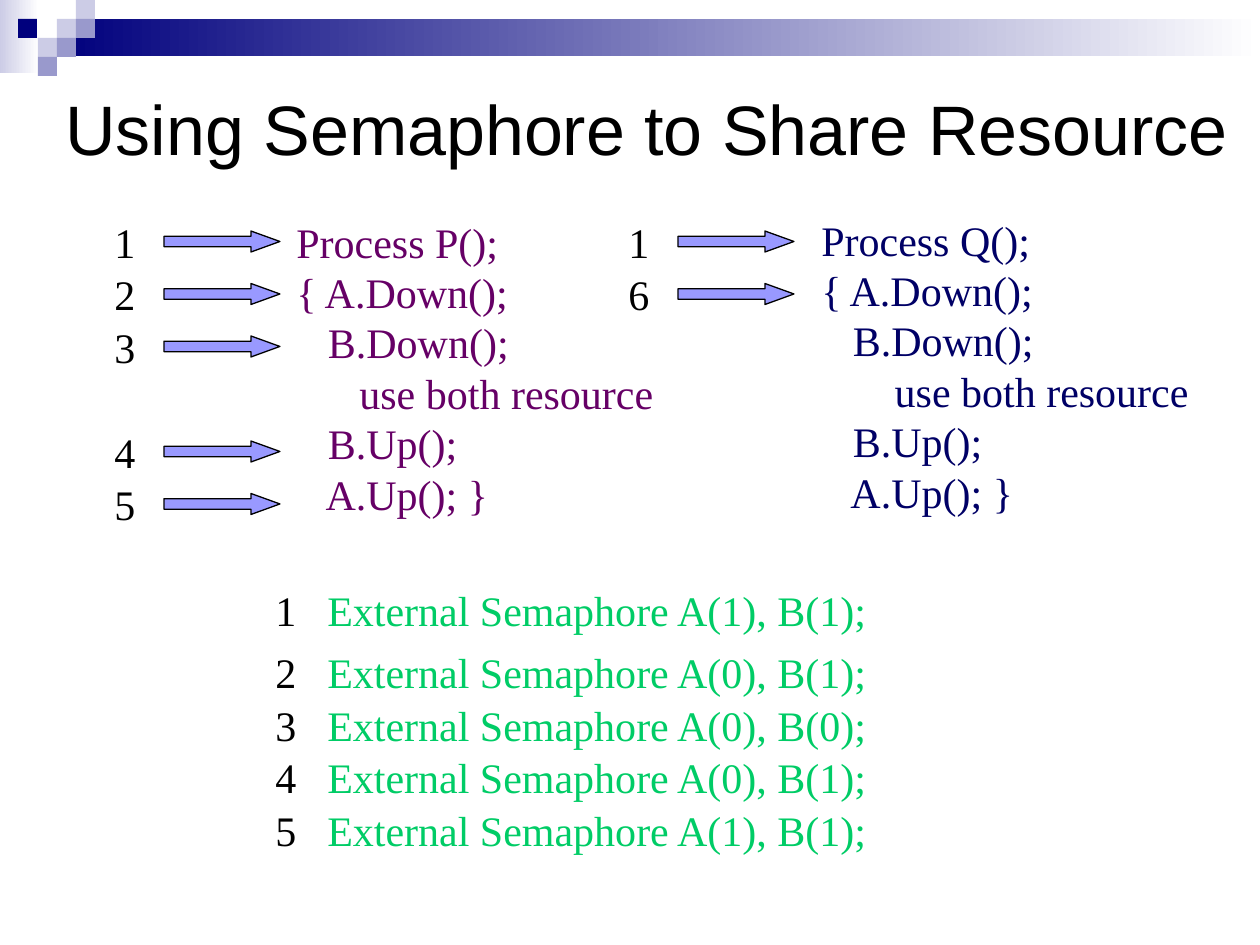
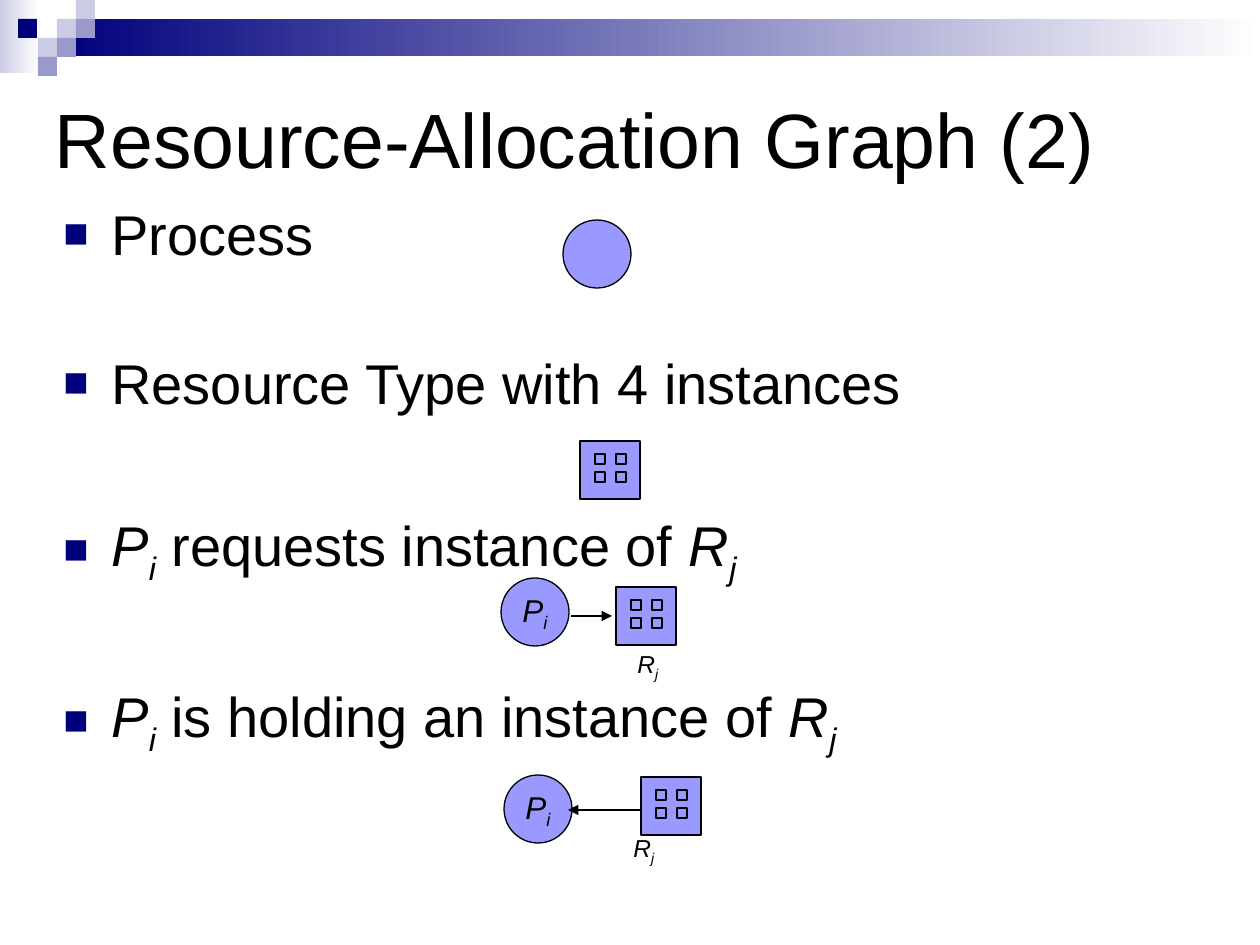
from lxml import etree
from pptx import Presentation
from pptx.dml.color import RGBColor
from pptx.enum.shapes import MSO_CONNECTOR, MSO_SHAPE
from pptx.enum.text import MSO_ANCHOR, MSO_AUTO_SIZE, PP_ALIGN
from pptx.oxml.ns import qn
from pptx.util import Pt

LEFT, MID = PP_ALIGN.LEFT, PP_ALIGN.CENTER
CENTRE, FIXED = MSO_ANCHOR.MIDDLE, MSO_AUTO_SIZE.NONE
RECT, OVAL, ARROW = MSO_SHAPE.RECTANGLE, MSO_SHAPE.OVAL, MSO_SHAPE.RIGHT_ARROW
LINE = MSO_CONNECTOR.STRAIGHT
SANS, SERIF = "Arial", "Times New Roman"
TITLE_ONLY = 5
SCALE = 914400 / 126
HEX = {
    "navy": "00007D", "pale": "CCCCE6", "mauve": "9999CC", "white": "FFFFFF",
    "black": "000000", "fill": "9999FF", "plum": "660066", "ink": "000066",
    "green": "00CC66",
}

FADES = [("pale", (0, 0, 39, 73)), ("navy", (57, 19, 1203, 37))]
TILE = 19
TILES = [
    ("pale", 57, 19), ("pale", 76, 0), ("mauve", 76, 19), ("pale", 38, 38),
    ("navy", 18, 19), ("mauve", 57, 38), ("mauve", 38, 57),
]

TOP, STEP = 210, 52.5
CODE = [
    {"color": "plum", "box": (284, 210, 410, 315), "left": 102,
     "steps": {0: "1", 1: "2", 2: "3", 4: "4", 5: "5"},
     "lines": ["Process P();", "{ A.Down();", "   B.Down();",
               "      use both resource", "   B.Up();", "   A.Up(); }"]},
    {"color": "ink", "box": (809, 208, 430, 315), "left": 616,
     "steps": {0: "1", 1: "6"},
     "lines": ["Process Q();", "{ A.Down();", "   B.Down();",
               "       use both resource", "   B.Up();", "   A.Up(); }"]},
]
STATES = [
    ("1", 578, "External Semaphore A(1), B(1);"),
    ("2", 640, "External Semaphore A(0), B(1);"),
    ("3", 693, "External Semaphore A(0), B(0);"),
    ("4", 745, "External Semaphore A(0), B(1);"),
    ("5", 798, "External Semaphore A(1), B(1);"),
]

P_I = [("P", "i"), ("i", "is")]
R_J = [("R", "i"), ("j", "is")]
POINTS = [
    (0, [("Process", "")]),
    (47, [("Resource Type with 4 instances", "")]),
    (54, [*P_I, (" requests instance of ", ""), *R_J]),
    (54, [*P_I, (" is holding an instance of ", ""), *R_J]),
]
NODES = [(563, 220, []), (501, 578, P_I), (504, 775, P_I)]
TYPES = [(580, 441), (616, 587), (641, 777)]
LABELS = [(603, 643), (599, 827)]
EDGES = [(571, 616, 612), (640, 810, 568)]


def px(*nums):
    """Turn pixel lengths into EMU."""
    return [round(n * SCALE) for n in nums]


def rgb(name):
    """Look up a colour."""
    return RGBColor.from_string(HEX[name])


def style(para, size, face=SANS, color="black", align=LEFT):
    """Set the look of a paragraph."""
    para.alignment = align
    font = para.font
    font.size, font.name = Pt(size), face
    font.color.rgb = rgb(color)


def write(para, runs):
    """Add runs, italic for i and subscript for s."""
    for text, marks in runs:
        run = para.add_run()
        run.text = text
        if "i" in marks:
            run.font.italic = True
        if "s" in marks:
            run.font._element.set("baseline", "-25000")


def shape(slide, kind, box, color, line=True):
    """Add a flat shape, outlined or not."""
    item = slide.shapes.add_shape(kind, *px(*box))
    item.shadow.inherit = False
    item.fill.solid()
    item.fill.fore_color.rgb = rgb(color)
    if line:
        item.line.color.rgb = rgb("black")
        item.line.width = Pt(0.75)
    else:
        item.line.fill.background()
    return item


def textbox(slide, box):
    """Add an empty text box and return its frame."""
    frame = slide.shapes.add_textbox(*px(*box)).text_frame
    frame.word_wrap = True
    return frame


def block(slide, box, lines, color="black"):
    """Add serif lines of text."""
    frame = textbox(slide, box)
    for i, text in enumerate(lines):
        para = frame.add_paragraph() if i else frame.paragraphs[0]
        para.add_run().text = text
        style(para, 24, SERIF, color)


def dress(slide, layout):
    """Draw the band and tiles, then hand them to the layout."""
    for item in list(layout.placeholders):
        if item.placeholder_format.idx:
            item.element.getparent().remove(item.element)
    parts = []
    for color, box in FADES:
        item = shape(slide, RECT, box, color, False)
        item.fill.gradient()
        item.fill.gradient_angle = 0
        for stop, name, spot in zip(item.fill.gradient_stops, (color, "white"), (0, 1)):
            stop.color.rgb = rgb(name)
            stop.position = spot
        parts.append(item)
    for color, x, y in TILES:
        parts.append(shape(slide, RECT, (x, y, TILE, TILE), color, False))
    for i, item in enumerate(parts):
        layout.shapes.element.insert(2 + i, item.element)


def head(slide, text, box, size, align=LEFT):
    """Place and format the title."""
    title = slide.shapes.title
    title.left, title.top, title.width, title.height = px(*box)
    frame = title.text_frame
    frame.text = text
    frame.auto_size, frame.vertical_anchor = FIXED, CENTRE
    style(frame.paragraphs[0], size, align=align)


def share(slide):
    """Fill the semaphore slide."""
    head(slide, "Using Semaphore to Share Resource", (31, 48, 1231, 158), 40, MID)
    for code in CODE:
        block(slide, code["box"], code["lines"], code["color"])
        for row, step in code["steps"].items():
            x, y = code["left"], TOP + row * STEP
            arrow = shape(slide, ARROW, (x + 62, y + 21, 116, 21), "fill")
            arrow.adjustments[0], arrow.adjustments[1] = 0.5, 1.38
            block(slide, (x, y, 55, 63), [step])
    for step, y, text in STATES:
        block(slide, (263, y, 55, 63), [step])
        block(slide, (315, y, 590, 63), [text], "green")


def bullet(para):
    """Give a paragraph a hanging square bullet."""
    props = para._p.get_or_add_pPr()
    indent = px(48)[0]
    props.set("marL", str(indent))
    props.set("indent", str(-indent))
    color = etree.SubElement(props, qn("a:buClr"))
    etree.SubElement(color, qn("a:srgbClr"), val=HEX["navy"])
    etree.SubElement(props, qn("a:buSzPct"), val="75000")
    etree.SubElement(props, qn("a:buFont"), typeface=SANS)
    etree.SubElement(props, qn("a:buChar"), char="■")


def edge(slide, start, y, end):
    """Draw a level arrow."""
    line = slide.shapes.add_connector(LINE, *px(start, y, end, y))
    line.line.color.rgb = rgb("black")
    line.line.width = Pt(0.75)
    etree.SubElement(line.line._get_or_add_ln(), qn("a:tailEnd"), type="triangle")
    etree.SubElement(line.element.spPr, qn("a:effectLst"))


def graph(slide):
    """Fill the allocation graph slide."""
    head(slide, "Resource-Allocation Graph (2)", (42, 59, 1177, 158), 44)
    frame = textbox(slide, (51, 193, 974, 677))
    for i, (gap, runs) in enumerate(POINTS):
        para = frame.add_paragraph() if i else frame.paragraphs[0]
        bullet(para)
        if gap:
            para.space_before = Pt(gap)
        write(para, runs)
        style(para, 32)
    for x, y, runs in NODES:
        node = shape(slide, OVAL, (x, y, 68, 68), "fill")
        if runs:
            text = node.text_frame
            text.word_wrap, text.vertical_anchor = False, CENTRE
            write(text.paragraphs[0], runs)
            style(text.paragraphs[0], 18, align=MID)
    for x, y in TYPES:
        shape(slide, RECT, (x, y, 60, 58), "fill")
        for dy in (13, 31):
            for dx in (15, 36):
                shape(slide, RECT, (x + dx, y + dy, 10, 10), "fill")
    for spot in EDGES:
        edge(slide, *spot)
    for x, y in LABELS:
        text = textbox(slide, (x, y, 90, 46))
        text.vertical_anchor = CENTRE
        write(text.paragraphs[0], R_J)
        style(text.paragraphs[0], 14, align=MID)


def main():
    """Build and save the deck."""
    deck = Presentation()
    deck.slide_width, deck.slide_height = px(1260, 945)
    layout = deck.slide_layouts[TITLE_ONLY]
    first, second = [deck.slides.add_slide(layout) for _ in range(2)]
    dress(first, layout)
    share(first)
    graph(second)
    deck.save("out.pptx")


if __name__ == "__main__":
    main()
